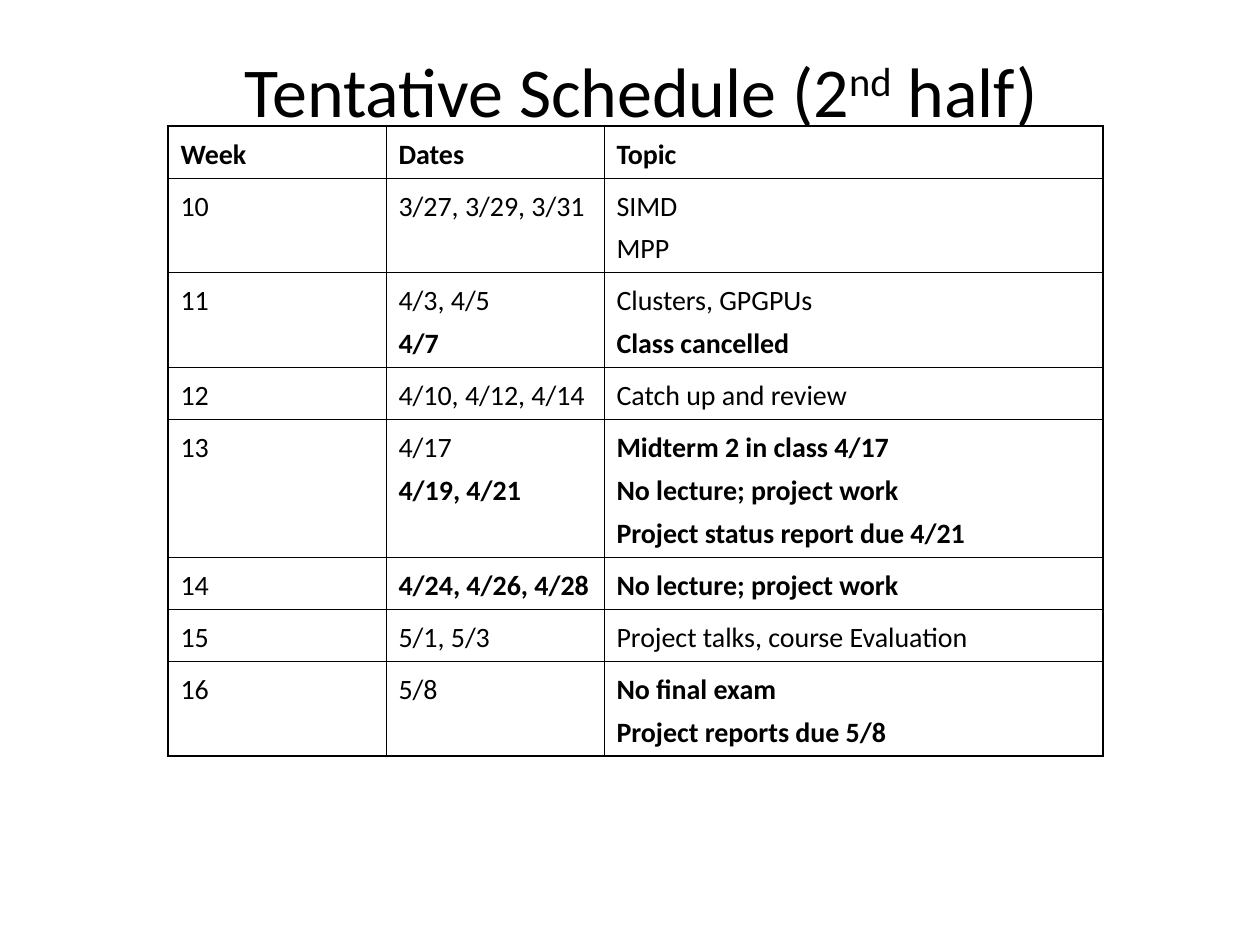
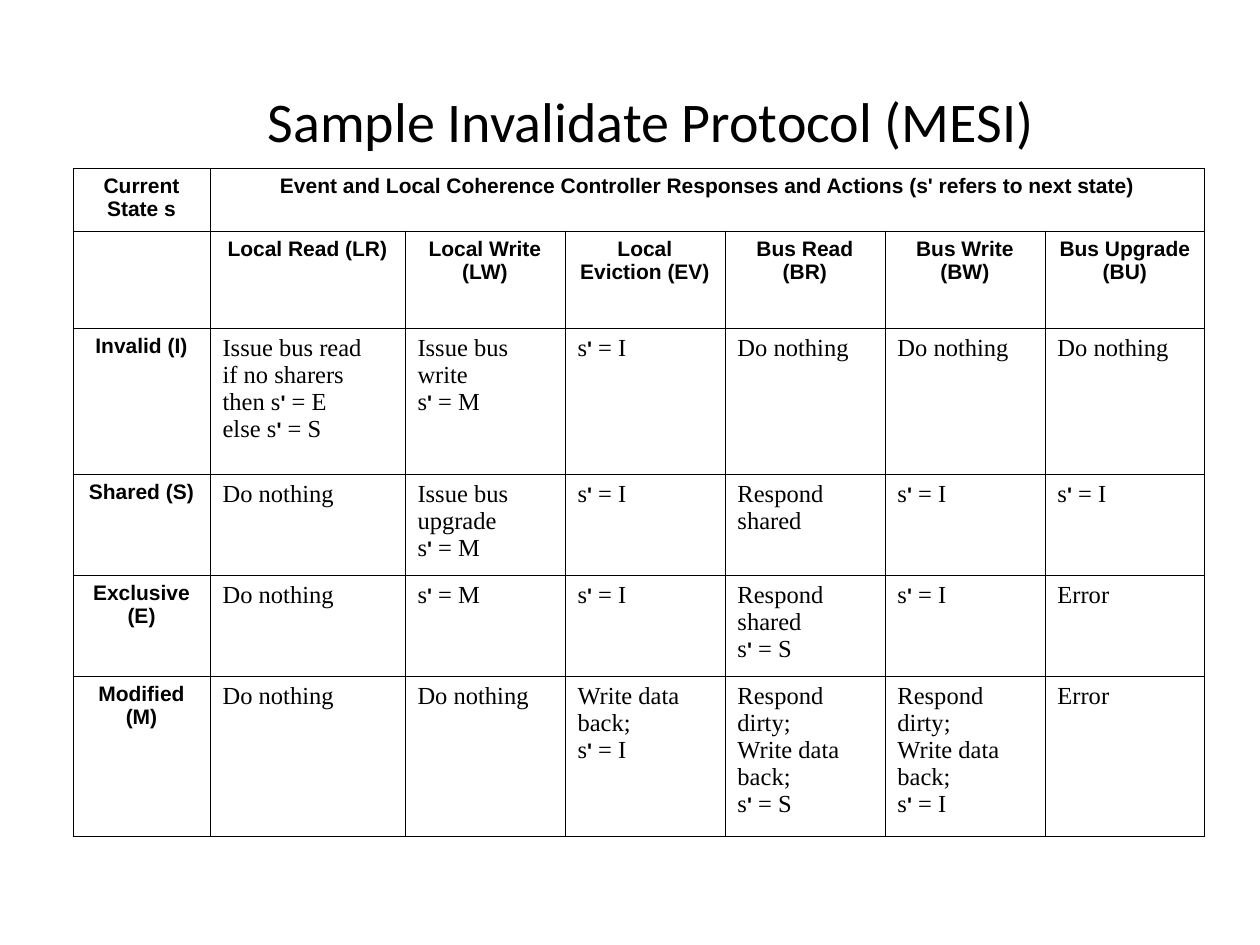
import lxml.etree
import pptx
import pptx.dml.color
import pptx.enum.text
import pptx.oxml.ns
import pptx.util

EMU_PER_PX = 914400 / 126
BLACK = "000000"
THIN, THICK = 0.45, 1.08
CENTER = pptx.enum.text.PP_ALIGN.CENTER
LEFT = pptx.enum.text.PP_ALIGN.LEFT

SCHEDULE = [
    ["*Week", "*Dates", "*Topic"],
    ["10", "3/27, 3/29, 3/31", "SIMD\nMPP"],
    ["11", "4/3, 4/5\n*4/7", "Clusters, GPGPUs\n*Class cancelled"],
    ["12", "4/10, 4/12, 4/14", "Catch up and review"],
    ["13", "4/17\n*4/19, 4/21",
     "*Midterm 2 in class 4/17\n*No lecture; project work\n*Project status report due 4/21"],
    ["14", "*4/24, 4/26, 4/28", "*No lecture; project work"],
    ["15", "5/1, 5/3", "Project talks, course Evaluation"],
    ["16", "5/8", "*No final exam\n*Project reports due 5/8"],
]
PROTOCOL = [
    ["Current State s",
     "Event and Local Coherence Controller Responses and Actions (s' refers to next state)",
     "", "", "", "", ""],
    ["", "Local Read (LR)", "Local Write (LW)", "Local Eviction (EV)",
     "Bus Read (BR)", "Bus Write (BW)", "Bus Upgrade (BU)"],
    ["Invalid (I)", "Issue bus read\nif no sharers then s' = E\nelse s' = S",
     "Issue bus write\ns' = M", "s' = I", "Do nothing", "Do nothing", "Do nothing"],
    ["Shared (S)", "Do nothing", "Issue bus upgrade\ns' = M", "s' = I",
     "Respond shared", "s' = I", "s' = I"],
    ["Exclusive (E)", "Do nothing", "s' = M", "s' = I",
     "Respond shared\ns' = S", "s' = I", "Error"],
    ["Modified (M)", "Do nothing", "Do nothing", "Write data back;\ns' = I",
     "Respond dirty;\nWrite data back;\ns' = S",
     "Respond dirty;\nWrite data back;\ns' = I", "Error"],
]


def px(length):
    """Turn pixels into EMU."""
    return pptx.util.Emu(round(length * EMU_PER_PX))


def color(value):
    """Turn a hex string into a colour."""
    return pptx.dml.color.RGBColor.from_string(value)


def style(font, name, size, bold=False):
    """Set the face, size, weight and colour of a font."""
    font.name = name
    font.size = pptx.util.Pt(size)
    font.bold = bold
    font.color.rgb = color(BLACK)


def add_page(deck, parts, left, top, width, height, size):
    """Add a page whose title alternates normal and superscript parts."""
    page = deck.slides.add_slide(deck.slide_layouts[5])
    title = page.shapes.title
    title.left, title.top, title.width, title.height = map(px, (left, top, width, height))
    frame = title.text_frame
    frame.auto_size = pptx.enum.text.MSO_AUTO_SIZE.NONE
    frame.vertical_anchor = pptx.enum.text.MSO_ANCHOR.MIDDLE
    para = frame.paragraphs[0]
    para.alignment = CENTER
    style(para.font, "Calibri", size)
    for index, part in enumerate(parts):
        span = para.add_run()
        span.text = part
        if index % 2:
            span.font._element.set("baseline", "30000")
    return page


def set_borders(cell, widths):
    """Draw the left, right, top and bottom borders of a cell."""
    properties = cell._tc.get_or_add_tcPr()
    for side, width in zip("LRTB", widths):
        line = lxml.etree.SubElement(properties, pptx.oxml.ns.qn(f"a:ln{side}"),
                                     w=str(pptx.util.Pt(width)))
        fill = lxml.etree.SubElement(line, pptx.oxml.ns.qn("a:solidFill"))
        lxml.etree.SubElement(fill, pptx.oxml.ns.qn("a:srgbClr"), val=BLACK)


def add_table(page, left, top, columns, rows, edge):
    """Add an unfilled ruled table with the given outer edge width."""
    table = page.shapes.add_table(len(rows), len(columns), px(left), px(top),
                                  px(sum(columns)), px(sum(rows))).table
    table.first_row = table.horz_banding = False
    for column, width in zip(table.columns, columns):
        column.width = px(width)
    for row, height in zip(table.rows, rows):
        row.height = px(height)
    for r in range(len(rows)):
        for c in range(len(columns)):
            cell = table.cell(r, c)
            outer = (c == 0, c == len(columns) - 1, r == 0, r == len(rows) - 1)
            set_borders(cell, [edge if at_edge else THIN for at_edge in outer])
            cell.fill.background()
    return table


def add_lines(cell, text):
    """Put each line of text in a paragraph and yield both."""
    for index, line in enumerate(text.split("\n")):
        frame = cell.text_frame
        yield frame.add_paragraph() if index else frame.paragraphs[0], line


def write_schedule(cell, text):
    """Write schedule lines, where a leading asterisk means bold."""
    for para, line in add_lines(cell, text):
        para.line_spacing = 1.15
        para.space_after = pptx.util.Pt(2)
        para.add_run().text = line.lstrip("*")
        style(para.font, "Calibri", 16, line.startswith("*"))


def write_heading(cell, text):
    """Write a centred bold heading."""
    para = cell.text_frame.paragraphs[0]
    para.alignment = CENTER
    para.add_run().text = text
    style(para.font, "Arial", 12, True)


def write_action(cell, text):
    """Write protocol actions with bold prime marks."""
    for para, line in add_lines(cell, text):
        para.alignment = LEFT
        before, prime, after = line.partition("'")
        if not prime:
            para.add_run().text = line
            style(para.font, "Times New Roman", 14)
            continue
        for part in (before, prime, after):
            span = para.add_run()
            span.text = part
            if part == prime:
                style(span.font, "Arial", 12, True)
            else:
                style(span.font, "Times New Roman", 14)


def add_schedule(deck):
    """Add the schedule page."""
    page = add_page(deck, ["Tentative Schedule (2", "nd", " half)"], 84, 42, 1114, 95, 40)
    table = add_table(page, 168, 126, [218, 218, 499],
                      [47, 81, 81, 47, 123, 47, 47, 84], THICK)
    for r, row in enumerate(SCHEDULE):
        for c, text in enumerate(row):
            write_schedule(table.cell(r, c), text)


def add_protocol(deck):
    """Add the coherence protocol page."""
    page = add_page(deck, ["Sample Invalidate Protocol (MESI)"], 94, 84, 1114, 73, 32)
    table = add_table(page, 73, 168, [137, 195] + [160] * 5,
                      [63, 97, 146, 101, 101, 160], THIN)
    table.cell(0, 1).merge(table.cell(0, 6))
    for r, row in enumerate(PROTOCOL):
        for c, text in enumerate(row):
            if text:
                write = write_heading if r < 2 or c == 0 else write_action
                write(table.cell(r, c), text)


def main():
    """Build and save the deck."""
    deck = pptx.Presentation()
    deck.slide_width, deck.slide_height = px(1260), px(945)
    add_schedule(deck)
    add_protocol(deck)
    deck.save("out.pptx")


if __name__ == "__main__":
    main()
